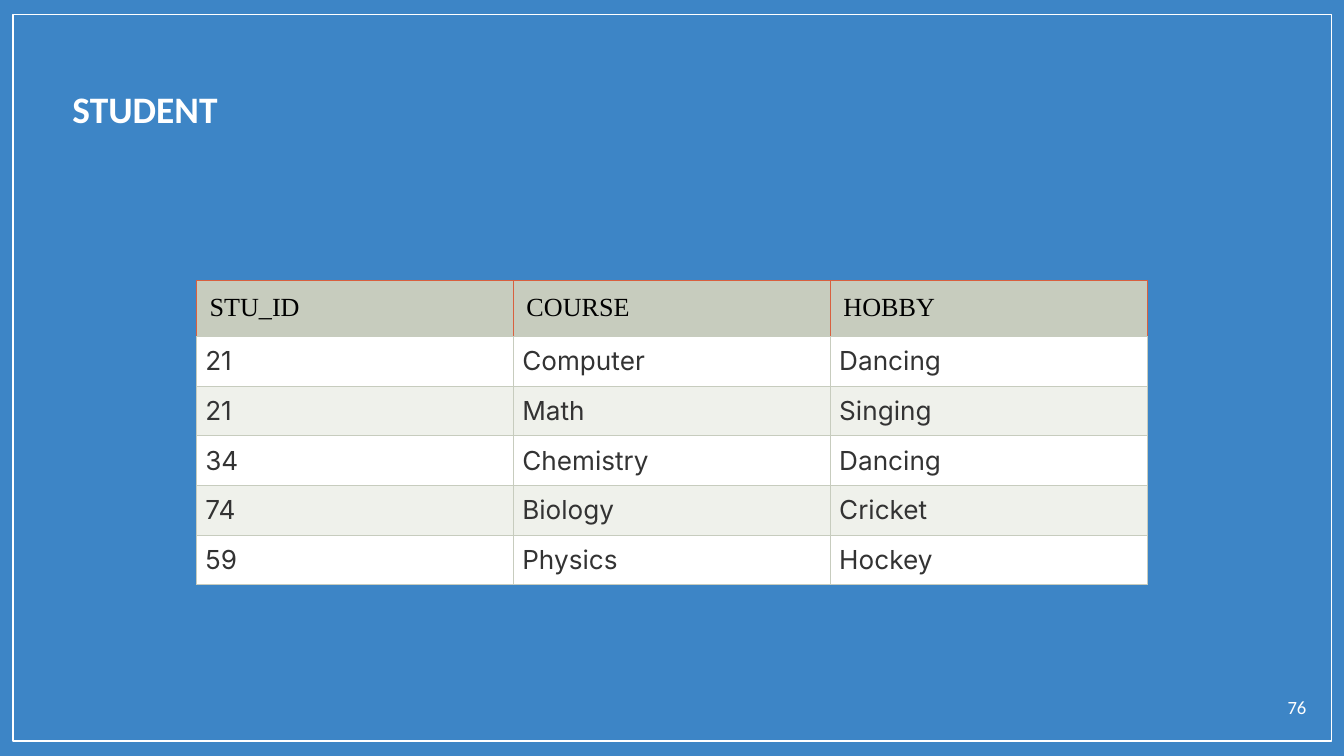
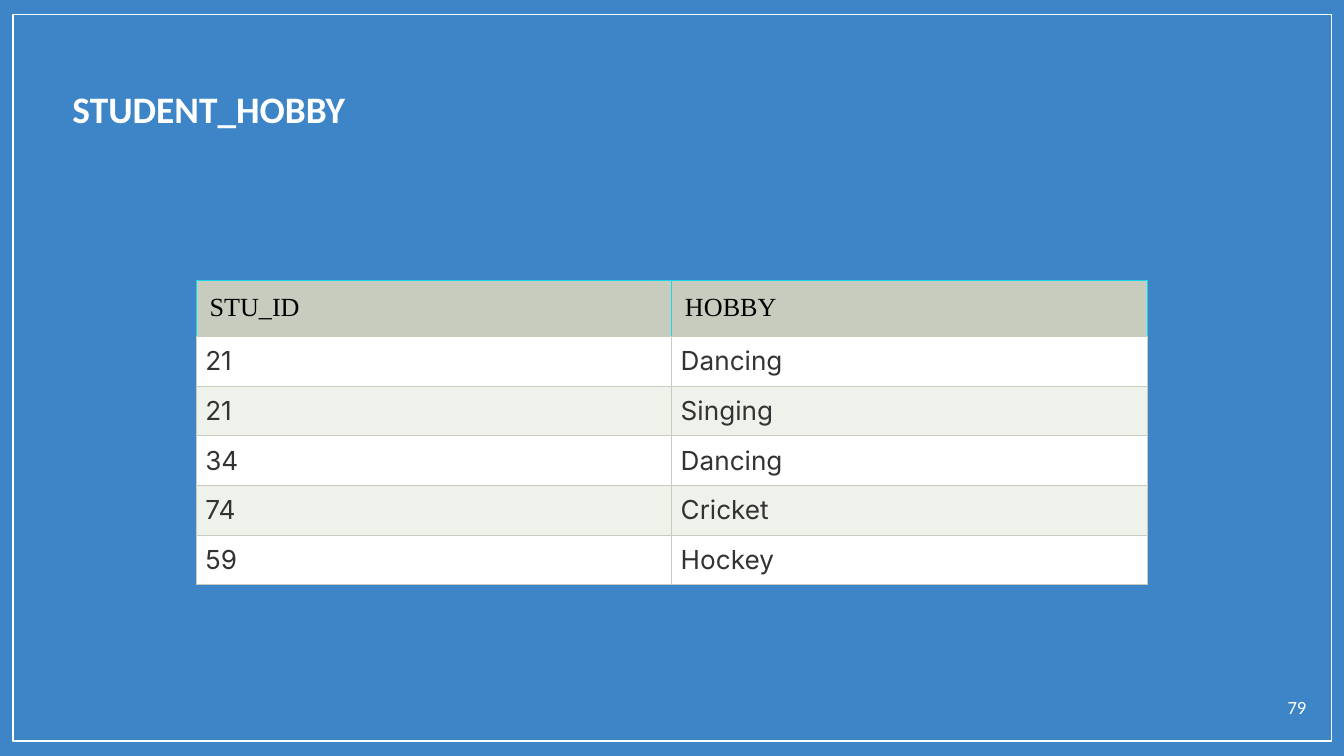
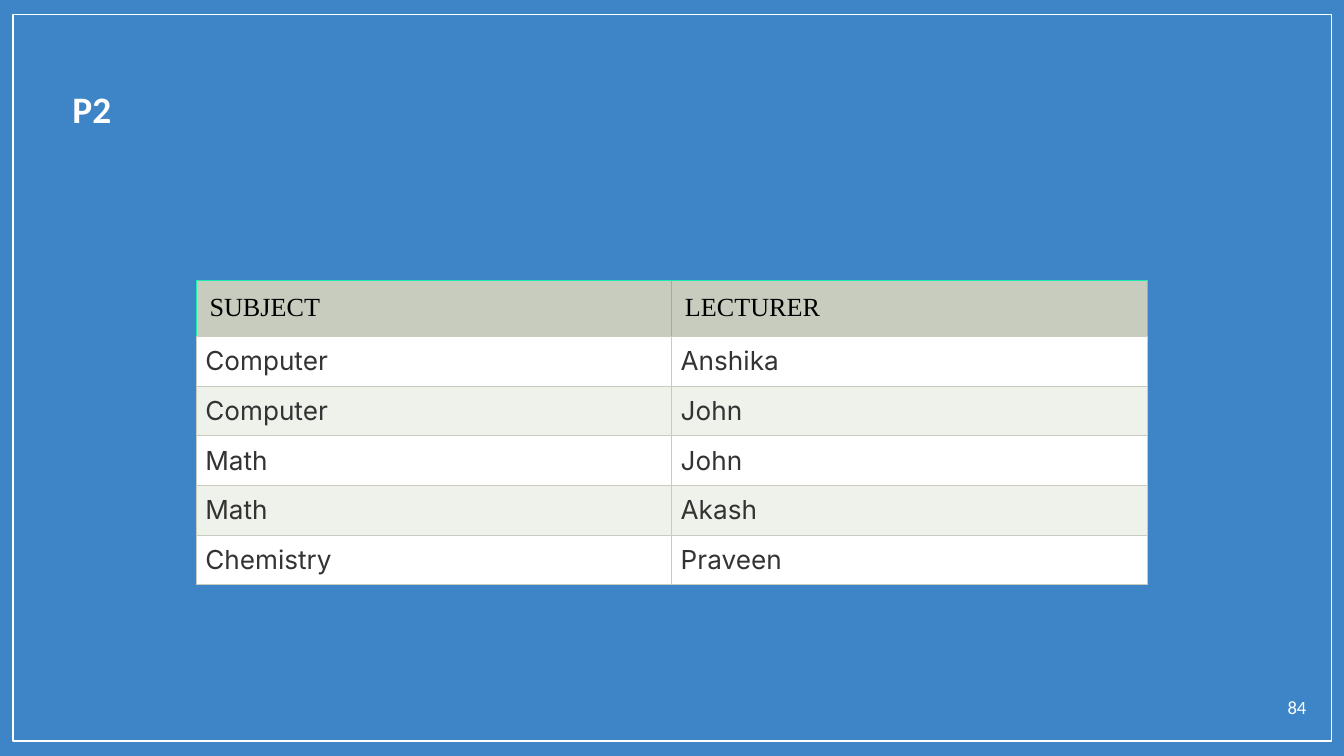
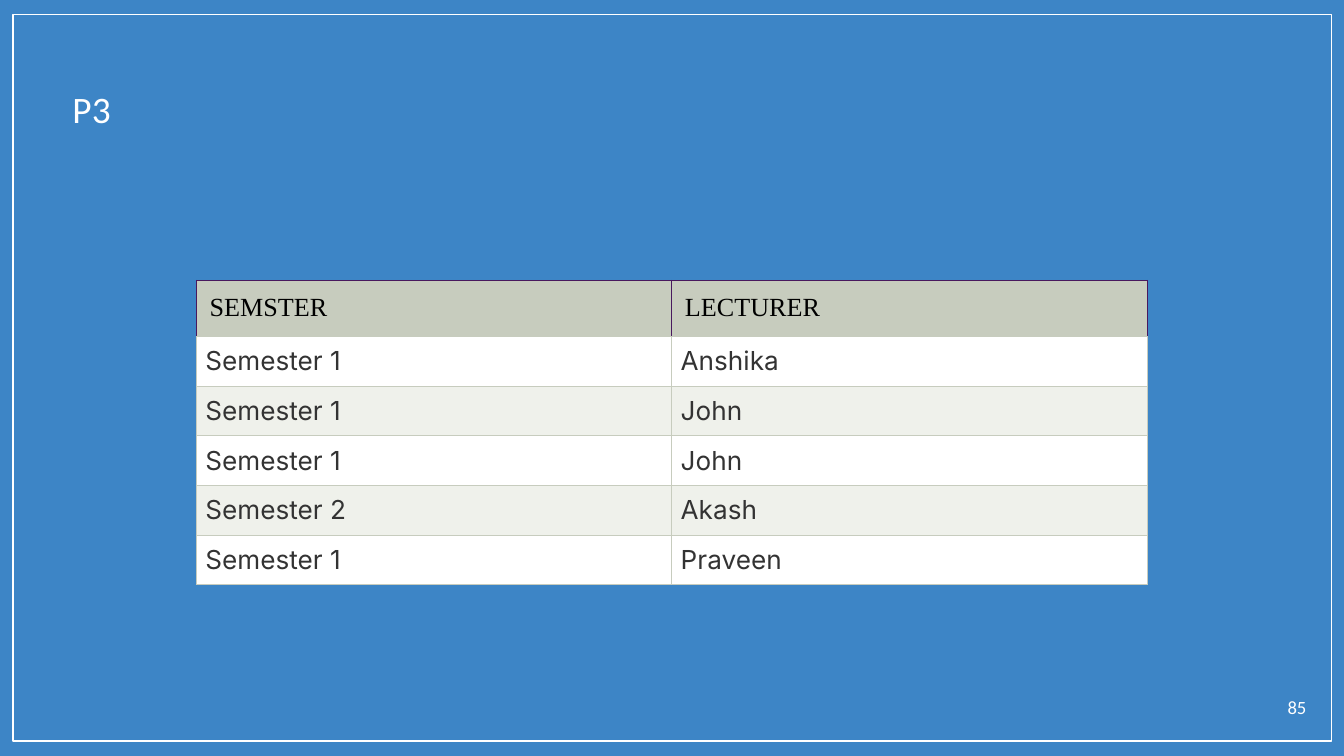
import dataclasses
import typing

import pptx
import pptx.dml.color
import pptx.enum.shapes
import pptx.enum.text
import pptx.oxml
import pptx.oxml.ns
import pptx.util
from pptx.util import Cm

BLUE, WHITE, BLACK, CHARCOAL = "3D85C6", "FFFFFF", "000000", "333333"
SAGE, PALE_SAGE = "C7CCBE", "EFF1EB"
BORDER_POINTS = 0.6
TABLE_WIDTH = Cm(17.97)
HEADER_HEIGHT, ROW_HEIGHT = Cm(1.06), Cm(0.93)
TITLE_ONLY = 5
ALIGN = pptx.enum.text.PP_ALIGN


@dataclasses.dataclass(frozen=True)
class TextStyle:
    font: dict[str, typing.Any]
    colour: str
    inset: int = Cm(0.25)
    align: ALIGN = ALIGN.LEFT


@dataclasses.dataclass(frozen=True)
class Relation:
    """One database relation, shown as a titled table on its own slide."""
    title: str
    number: int
    accent: str
    header: list[str]
    records: list[list[str]]
    bold: bool = True


TITLE = TextStyle({"name": "Calibri", "size": pptx.util.Pt(20)}, WHITE)
NUMBER = TextStyle({"name": "Calibri", "size": pptx.util.Pt(10)}, WHITE, align=ALIGN.RIGHT)
HEADER = TextStyle({"name": "Times New Roman", "size": pptx.util.Pt(14), "bold": False}, BLACK)
RECORD = TextStyle({"name": "Inter", "size": pptx.util.Pt(14), "bold": False}, CHARCOAL,
                   Cm(0.17), ALIGN.JUSTIFY)

RELATIONS = [
    Relation("STUDENT", 76, "D8603F", ["STU_ID", "COURSE", "HOBBY"], [
        ["21", "Computer", "Dancing"],
        ["21", "Math", "Singing"],
        ["34", "Chemistry", "Dancing"],
        ["74", "Biology", "Cricket"],
        ["59", "Physics", "Hockey"],
    ]),
    Relation("STUDENT_HOBBY", 79, "18D8E9", ["STU_ID", "HOBBY"], [
        ["21", "Dancing"],
        ["21", "Singing"],
        ["34", "Dancing"],
        ["74", "Cricket"],
        ["59", "Hockey"],
    ]),
    Relation("P2", 84, "20ECB2", ["SUBJECT", "LECTURER"], [
        ["Computer", "Anshika"],
        ["Computer", "John"],
        ["Math", "John"],
        ["Math", "Akash"],
        ["Chemistry", "Praveen"],
    ]),
    Relation("P3", 85, "48185E", ["SEMSTER", "LECTURER"], [
        ["Semester 1", "Anshika"],
        ["Semester 1", "John"],
        ["Semester 1", "John"],
        ["Semester 2", "Akash"],
        ["Semester 1", "Praveen"],
    ], bold=False),
]


def rgb(colour: str) -> pptx.dml.color.RGBColor:
    return pptx.dml.color.RGBColor.from_string(colour)


def set_attributes(target: typing.Any, values: dict[str, typing.Any]) -> None:
    for name, value in values.items():
        setattr(target, name, value)


def write(frame: typing.Any, text: str, style: TextStyle) -> None:
    frame.text = text
    para = frame.paragraphs[0]
    para.alignment = style.align
    span = para.runs[0]
    set_attributes(span.font, style.font)
    span.font.color.rgb = rgb(style.colour)


def write_box(box: typing.Any, text: str, style: TextStyle) -> None:
    """Write top-anchored text with even insets in a text box or placeholder."""
    set_attributes(box.text_frame, {
        "word_wrap": True,
        "auto_size": pptx.enum.text.MSO_AUTO_SIZE.NONE,
        "vertical_anchor": pptx.enum.text.MSO_ANCHOR.TOP,
        **{f"margin_{side}": style.inset for side in ("left", "top", "right", "bottom")},
    })
    write(box.text_frame, text, style)


def add_border(cell: typing.Any, side: str, colour: str) -> None:
    namespace = pptx.oxml.ns.nsdecls("a")
    width = pptx.util.Pt(BORDER_POINTS)
    cell._tc.get_or_add_tcPr().append(pptx.oxml.parse_xml(
        f'<a:ln{side} {namespace} w="{width}"><a:solidFill>'
        f'<a:srgbClr val="{colour}"/></a:solidFill></a:ln{side}>'))


def fill_cell(cell: typing.Any, text: str, style: TextStyle, fill: str, accent: str) -> None:
    for side, colour in {"L": accent, "R": accent, "T": accent, "B": SAGE}.items():
        add_border(cell, side, colour)
    cell.fill.solid()
    cell.fill.fore_color.rgb = rgb(fill)
    for side in ("left", "top", "right", "bottom"):
        setattr(cell, f"margin_{side}", style.inset)
    write(cell.text_frame, text, style)


def add_frame(page: typing.Any) -> None:
    """Outline the slide behind its title."""
    frame = page.shapes.add_shape(pptx.enum.shapes.MSO_SHAPE.RECTANGLE,
                                  Cm(0.25), Cm(0.27), Cm(24.92), Cm(13.74))
    frame.shadow.inherit = False
    frame.fill.background()
    frame.line.color.rgb = rgb(WHITE)
    frame.line.width = pptx.util.Pt(0.75)
    page.shapes.title._element.addprevious(frame._element)


def add_relation_table(page: typing.Any, relation: Relation) -> None:
    rows = [relation.header, *relation.records]
    height = HEADER_HEIGHT + ROW_HEIGHT * len(relation.records)
    table = page.shapes.add_table(len(rows), len(relation.header), Cm(3.71), Cm(5.3),
                                  TABLE_WIDTH, height).table
    set_attributes(table, {"first_row": False, "horz_banding": False})
    for index, texts in enumerate(rows):
        is_header = index == 0
        table.rows[index].height = HEADER_HEIGHT if is_header else ROW_HEIGHT
        style = HEADER if is_header else RECORD
        fill = SAGE if is_header else (WHITE if index % 2 else PALE_SAGE)
        accent = relation.accent if is_header else SAGE
        for column, text in enumerate(texts):
            fill_cell(table.cell(index, column), text, style, fill, accent)


def add_relation_page(deck: typing.Any, relation: Relation) -> None:
    page = deck.slides.add_slide(deck.slide_layouts[TITLE_ONLY])
    add_frame(page)
    title = page.shapes.title
    set_attributes(title, {"left": Cm(1.12), "top": Cm(1.37),
                           "width": Cm(22.86), "height": Cm(1.14)})
    write_box(title, relation.title,
              dataclasses.replace(TITLE, font={**TITLE.font, "bold": relation.bold}))
    number = page.shapes.add_textbox(Cm(23.67), Cm(12.9), Cm(1.27), Cm(0.81))
    write_box(number, str(relation.number), NUMBER)
    add_relation_table(page, relation)


def main() -> None:
    deck = pptx.Presentation()
    set_attributes(deck, {"slide_width": Cm(25.4), "slide_height": Cm(14.29)})
    background = deck.slide_master.background.fill
    background.solid()
    background.fore_color.rgb = rgb(BLUE)
    for relation in RELATIONS:
        add_relation_page(deck, relation)
    deck.save("out.pptx")


if __name__ == "__main__":
    main()
